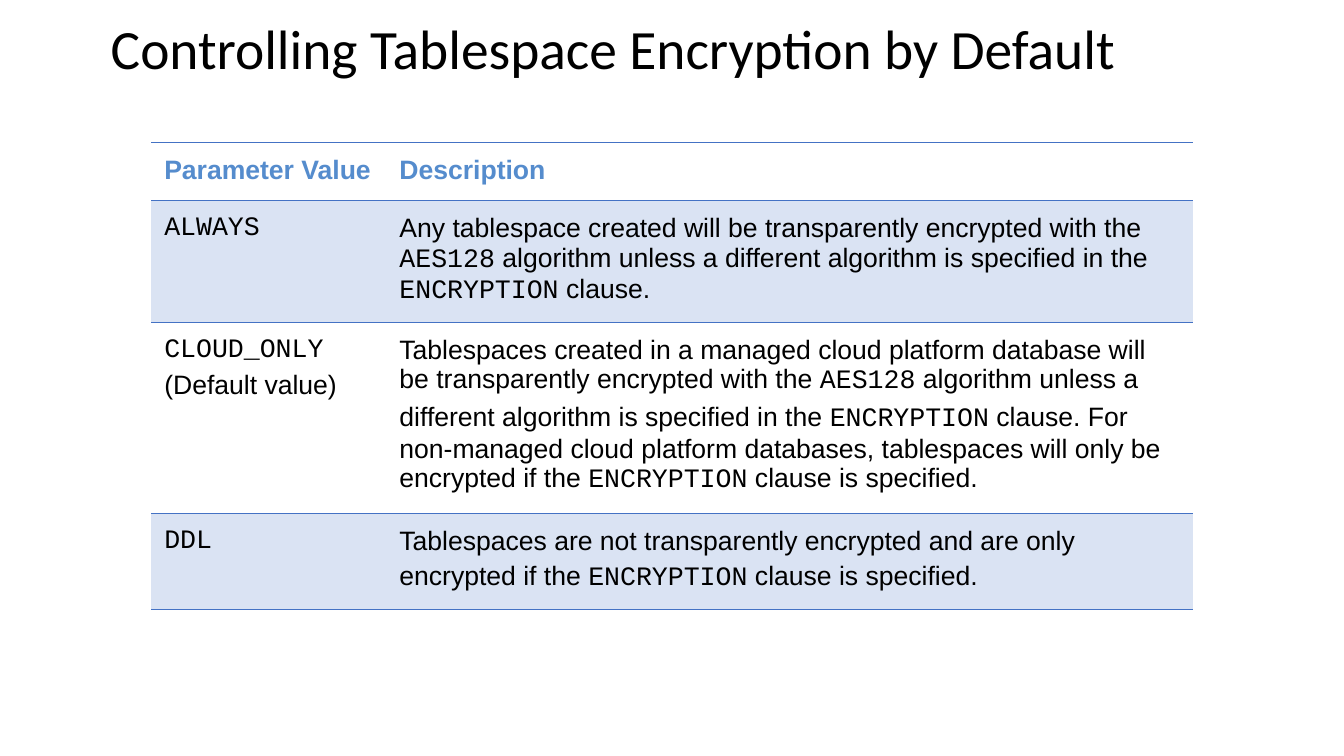
"""Build the slide on controlling tablespace encryption by default."""
from dataclasses import dataclass

from lxml import etree
from pptx import Presentation
from pptx import util as u
from pptx.dml.color import RGBColor
from pptx.enum import text
from pptx.oxml.ns import qn


@dataclass(frozen=True)
class Theme:
    """Colours, fonts and sizes of the slide."""
    ink: str = "000000"
    heading: str = "558CCD"
    rule: str = "4472C4"
    band: str = "DAE3F3"
    title_font: str = "Calibri"
    body_font: str = "Arial"
    code_font: str = "Courier New"
    title_size: float = 39.6
    body_size: float = 19
    rule_width: float = 1
    paragraph_gap: float = 3.8
    inset: float = 0.13


@dataclass(frozen=True)
class Area:
    """A rectangle in grid columns and rows."""
    left: float
    top: float
    width: float
    height: float


@dataclass(frozen=True)
class Entry:
    """A table row: each cell lists its paragraphs, with code in backticks."""
    height: float
    value: tuple[str, ...]
    description: tuple[str, ...]
    header: bool = False
    banded: bool = False


THEME = Theme()
GRID = u.Inches(1 / 6)
PAGE = Area(0, 0, 80, 45)
TITLE = Area(6, 1, 68, 4.1)
VALUE_COLUMNS, DESCRIPTION_COLUMNS = 14, 48
ENTRIES = (
    Entry(3.47, ("Parameter Value",), ("Description",), header=True),
    Entry(7.17, ("`ALWAYS`",), (
        "Any tablespace created will be transparently encrypted with the `AES128` "
        "algorithm unless a different algorithm is specified in the `ENCRYPTION` clause.",
    ), banded=True),
    Entry(11.27, ("`CLOUD_ONLY`", "(Default value)"), (
        "Tablespaces created in a managed cloud platform database will be "
        "transparently encrypted with the `AES128` algorithm unless a",
        "different algorithm is specified in the `ENCRYPTION` clause. For non-managed "
        "cloud platform databases, tablespaces will only be encrypted if the "
        "`ENCRYPTION` clause is specified.",
    )),
    Entry(5.7, ("`DDL`",), (
        "Tablespaces are not transparently encrypted and are only",
        "encrypted if the `ENCRYPTION` clause is specified.",
    ), banded=True),
)
TABLE = Area(9, 8.46, VALUE_COLUMNS + DESCRIPTION_COLUMNS,
             sum(entry.height for entry in ENTRIES))


def grid(count: float) -> int:
    """Return the length of a number of grid steps."""
    return u.Emu(round(count * GRID))


def place(area: Area) -> tuple[int, int, int, int]:
    """Return an area as left, top, width and height."""
    return grid(area.left), grid(area.top), grid(area.width), grid(area.height)


def style(span, font: str, size: float, colour: str, bold: bool = False) -> None:
    """Format one run."""
    span.font.name = font
    span.font.size = u.Pt(size)
    span.font.bold = bold
    span.font.color.rgb = RGBColor.from_string(colour)


def rule_cell(cell) -> None:
    """Rule a cell above and below, and leave its sides open."""
    properties = cell._tc.get_or_add_tcPr()
    for index, side in enumerate(("lnL", "lnR", "lnT", "lnB")):
        line = etree.Element(qn(f"a:{side}"), w=str(u.Pt(THEME.rule_width)))
        if side in ("lnT", "lnB"):
            fill = etree.SubElement(line, qn("a:solidFill"))
            etree.SubElement(fill, qn("a:srgbClr"), val=THEME.rule)
        else:
            etree.SubElement(line, qn("a:noFill"))
        properties.insert(index, line)


def fill_cell(cell, paragraphs: tuple[str, ...], entry: Entry) -> None:
    """Write and format one table cell."""
    cell.margin_left = cell.margin_right = u.Inches(THEME.inset)
    cell.margin_top = cell.margin_bottom = u.Inches(THEME.inset)
    cell.vertical_anchor = text.MSO_ANCHOR.TOP
    if entry.banded:
        cell.fill.solid()
        cell.fill.fore_color.rgb = RGBColor.from_string(THEME.band)
    else:
        cell.fill.background()
    rule_cell(cell)
    colour = THEME.heading if entry.header else THEME.ink
    for number, wording in enumerate(paragraphs):
        frame = cell.text_frame
        para = frame.add_paragraph() if number else frame.paragraphs[0]
        para.space_before = u.Pt(THEME.paragraph_gap if number else 0)
        for index, part in enumerate(wording.split("`")):
            if part:
                span = para.add_run()
                span.text = part
                font = THEME.code_font if index % 2 else THEME.body_font
                style(span, font, THEME.body_size, colour, entry.header)


def add_title(page, wording: str) -> None:
    """Add the slide title."""
    frame = page.shapes.add_textbox(*place(TITLE)).text_frame
    frame.word_wrap = True
    frame.vertical_anchor = text.MSO_ANCHOR.MIDDLE
    frame.text = wording
    para = frame.paragraphs[0]
    para.line_spacing = 0.9
    style(para.runs[0], THEME.title_font, THEME.title_size, THEME.ink)


def add_parameters(page) -> None:
    """Add the table of parameter values."""
    table = page.shapes.add_table(len(ENTRIES), 2, *place(TABLE)).table
    table.first_row = table.horz_banding = False
    for column, width in zip(table.columns, (VALUE_COLUMNS, DESCRIPTION_COLUMNS)):
        column.width = grid(width)
    for row, entry in zip(table.rows, ENTRIES):
        row.height = grid(entry.height)
        for cell, paragraphs in zip(row.cells, (entry.value, entry.description)):
            fill_cell(cell, paragraphs, entry)


def main() -> None:
    """Build and save the deck."""
    deck = Presentation()
    deck.slide_width, deck.slide_height = grid(PAGE.width), grid(PAGE.height)
    page = deck.slides.add_slide(deck.slide_layouts[6])
    add_title(page, "Controlling Tablespace Encryption by Default")
    add_parameters(page)
    deck.save("out.pptx")


main()
